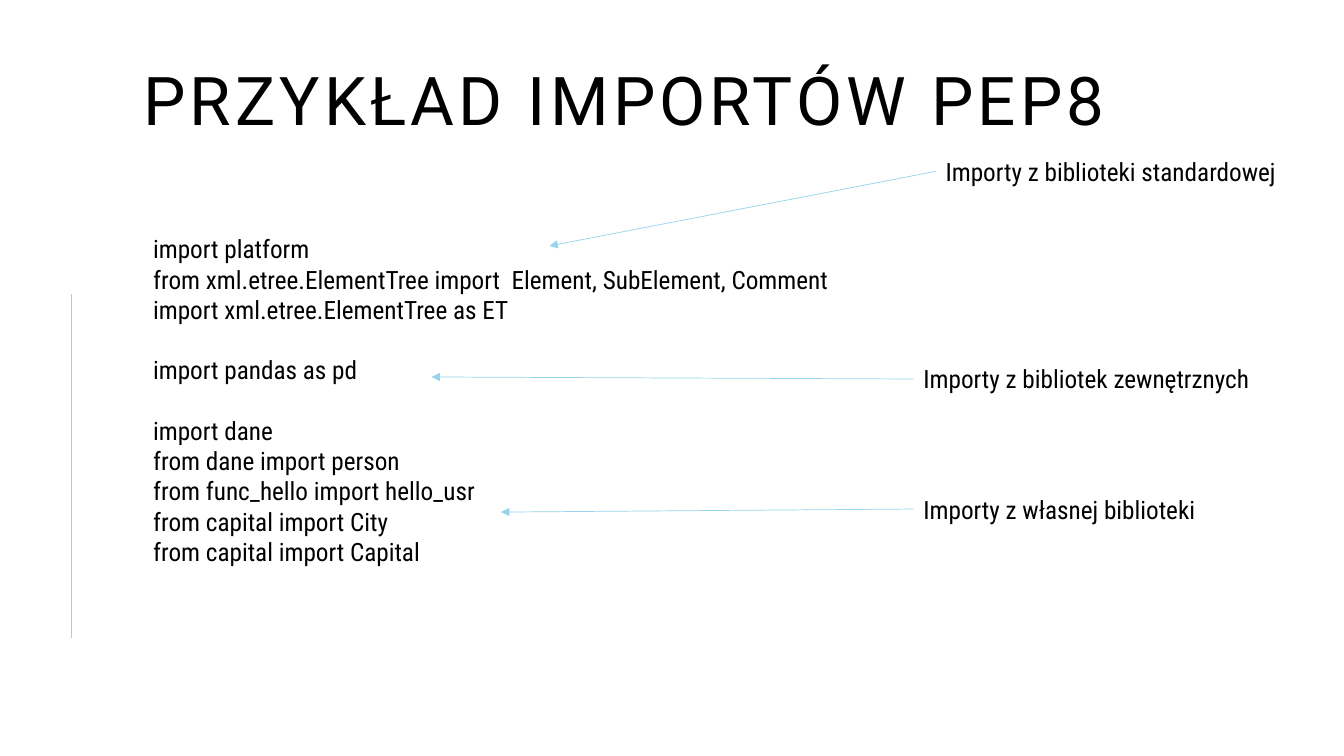
from lxml import etree
from pptx import Presentation
from pptx.dml.color import RGBColor
from pptx.enum.shapes import MSO_CONNECTOR
from pptx.enum.text import MSO_ANCHOR
from pptx.oxml.ns import qn
from pptx.util import Emu, Pt

STRAIGHT = MSO_CONNECTOR.STRAIGHT
TOP = MSO_ANCHOR.TOP
LEFT_SIDE = 1
SCALE = 9144  # EMU in one px, 100 px to the inch
BLACK, SKY = "000000", "96D3ED"
HEAD, BODY = "Roboto", "Roboto Condensed"

TITLE = "PRZYKŁAD IMPORTÓW PEP8"
CODE = [
    ["import platform",
     "from xml.etree.ElementTree import  Element, SubElement, Comment",
     "import xml.etree.ElementTree as ET"],
    ["import pandas as pd"],
    ["import dane",
     "from dane import person",
     "from func_hello import hello_usr",
     "from capital import City",
     "from capital import Capital"],
]
# label, its left and top, arrow tip
NOTES = [
    ("Importy z biblioteki standardowej", (928, 150), (545, 244)),
    ("Importy z bibliotek zewnętrznych", (906, 356), (428, 374)),
    ("Importy z własnej biblioteki", (906, 485), (497, 508)),
]


def px(n):
    return Emu(n * SCALE)


def color(text):
    return RGBColor.from_string(text)


def add_text(slide, box, groups, font=BODY, size=18, inset=(10, 5),
             gap=0, leading=None, track=0):
    """Write groups of lines, with a gap in points before each later group."""
    shape = slide.shapes.add_textbox(*map(px, box))
    frame = shape.text_frame
    frame.word_wrap = True
    frame.vertical_anchor = TOP
    frame.margin_left = frame.margin_right = px(inset[0])
    frame.margin_top = frame.margin_bottom = px(inset[1])
    para = frame.paragraphs[0]
    for i, group in enumerate(groups):
        for j, line in enumerate(group):
            if i or j:
                para = frame.add_paragraph()
            if i and not j:
                para.space_before = Pt(gap)
            if leading:
                para.line_spacing = leading
            run = para.add_run()
            run.text = line
            run.font.name = font
            run.font.size = Pt(size)
            run.font.color.rgb = color(BLACK)
            if track:
                run.font._element.set("spc", str(track * 100))
    return shape


def add_line(slide, start, end, width, arrow=False):
    line = slide.shapes.add_connector(STRAIGHT, *map(px, start + end))
    line.line.color.rgb = color(SKY)
    line.line.width = Pt(width)
    if arrow:
        tip = etree.SubElement(line.line._get_or_add_ln(), qn("a:tailEnd"))
        tip.set("type", "triangle")
    etree.SubElement(line._element.spPr, qn("a:effectLst"))
    return line


def add_note(slide, box, text, tip):
    left, top, _, height = box
    label = add_text(slide, box, [[text]])
    arrow = add_line(slide, (left, top + height // 2), tip, 0.5, arrow=True)
    arrow.begin_connect(label, LEFT_SIDE)


def main():
    prs = Presentation()
    prs.slide_width, prs.slide_height = px(1333), px(750)
    slide = prs.slides.add_slide(prs.slide_layouts[6])
    add_line(slide, (71, 292), (71, 633), 1)
    add_text(slide, (142, 67, 1074, 137), [[TITLE]], font=HEAD, size=48,
             inset=(0, 0), leading=0.9, track=3)
    add_text(slide, (142, 227, 785, 343), CODE, gap=21.6)
    for text, spot, tip in NOTES:
        add_note(slide, spot + (372, 40), text, tip)
    prs.save("out.pptx")


if __name__ == "__main__":
    main()
